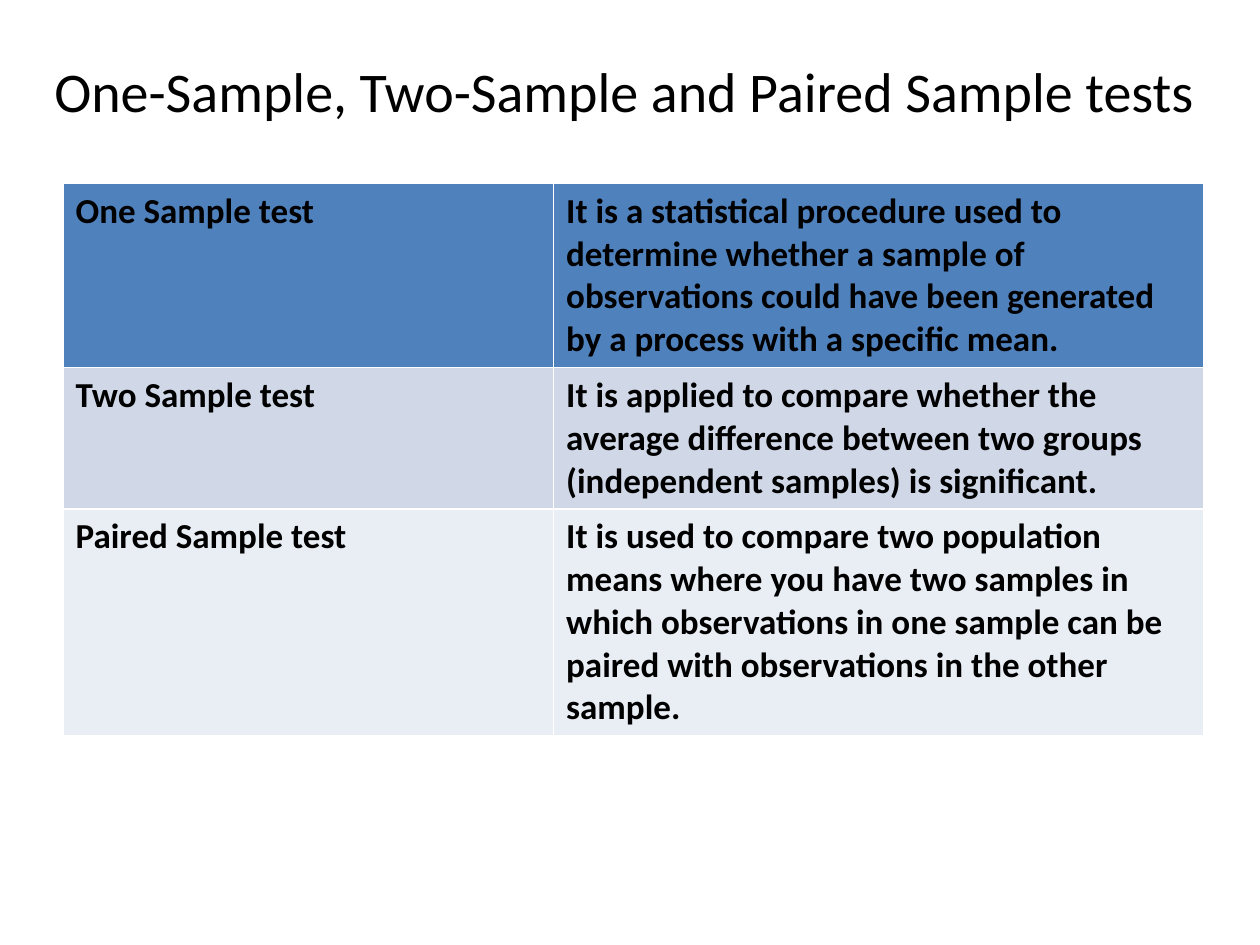
import dataclasses

import pptx
import pptx.dml.color
import pptx.enum.text
import pptx.util

Cm = pptx.util.Cm
RGB = pptx.dml.color.RGBColor.from_string


@dataclasses.dataclass(frozen=True)
class Theme:
    font: str = "Calibri"
    text: str = "000000"
    row_fills: tuple = ("4F81BD", "D0D8E8", "E9EDF4")
    title_size: int = 32
    body_size: int = 20


THEME = Theme()

TESTS = [
    ("One Sample test",
     "It is a statistical procedure used to determine whether a sample of "
     "observations could have been generated by a process with a specific mean."),
    ("Two Sample test",
     "It is applied to compare whether the average difference between two groups "
     "(independent samples) is significant."),
    ("Paired Sample test",
     "It is used to compare two population means where you have two samples in "
     "which observations in one sample can be paired with observations in the "
     "other sample."),
]


def set_font(p, size, bold):
    p.font.name = THEME.font
    p.font.size = pptx.util.Pt(size)
    p.font.bold = bold
    p.font.color.rgb = RGB(THEME.text)


def place_title(s, text, left, top, width, height):
    sp = s.shapes.title
    sp.left, sp.top, sp.width, sp.height = left, top, width, height
    tf = sp.text_frame
    tf.text = text
    tf.word_wrap = True
    tf.auto_size = pptx.enum.text.MSO_AUTO_SIZE.NONE
    tf.vertical_anchor = pptx.enum.text.MSO_ANCHOR.TOP
    p = tf.paragraphs[0]
    p.alignment = pptx.enum.text.PP_ALIGN.LEFT
    set_font(p, THEME.title_size, False)


def place_tests(s, tests, left, top, width, height):
    table = s.shapes.add_table(len(tests), 2, left, top, width, height).table
    name_width = int(width * 0.43)
    table.columns[0].width = name_width
    table.columns[1].width = width - name_width
    for row, test, fill in zip(table.rows, tests, THEME.row_fills):
        for cell, text in zip(row.cells, test):
            cell.text = text
            cell.fill.solid()
            cell.fill.fore_color.rgb = RGB(fill)
            set_font(cell.text_frame.paragraphs[0], THEME.body_size, True)


def main():
    prs = pptx.Presentation()
    prs.slide_width, prs.slide_height = Cm(25.4), Cm(19.05)
    s = prs.slides.add_slide(prs.slide_layouts[5])
    place_title(s, "One-Sample, Two-Sample and Paired Sample tests",
                Cm(0.84), Cm(1.02), Cm(23.75), Cm(1.62))
    place_tests(s, TESTS, Cm(1.27), Cm(3.7), Cm(23), Cm(7.16))
    prs.save("out.pptx")


if __name__ == "__main__":
    main()
